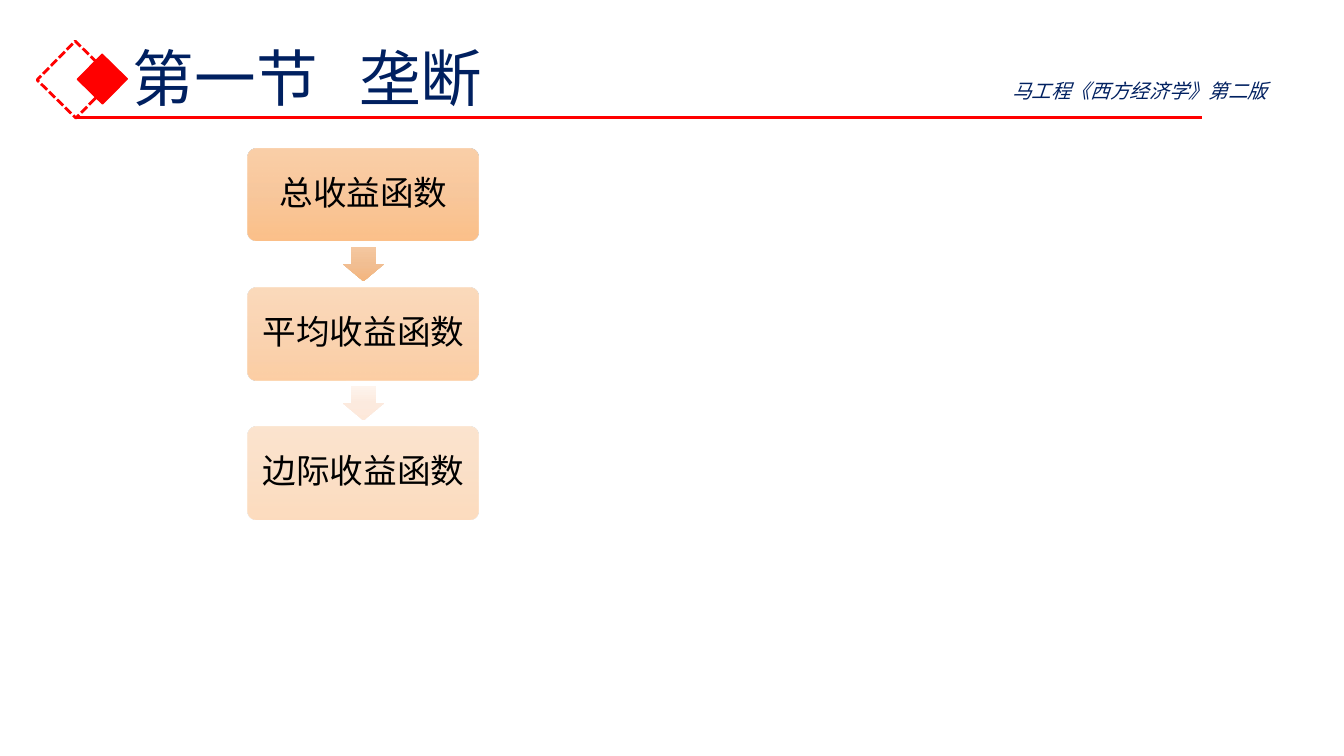
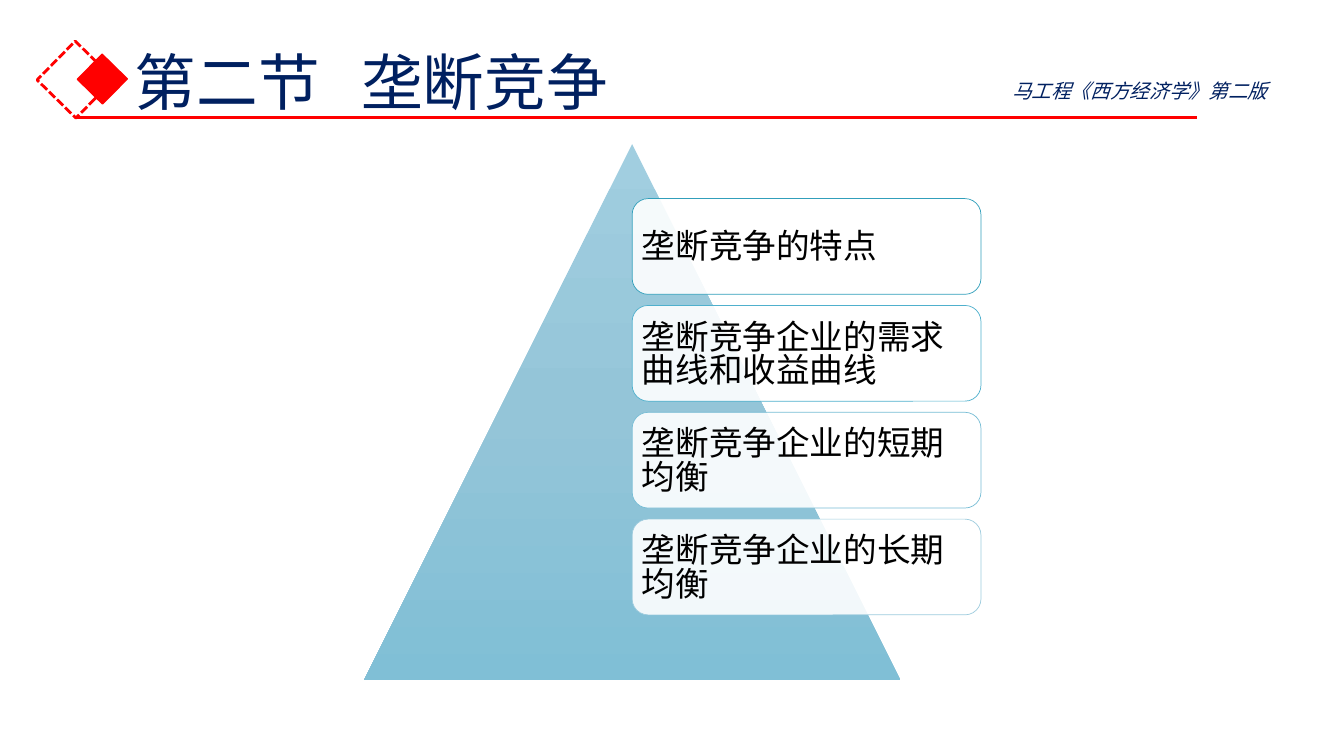
from lxml import etree
from pptx import Presentation
from pptx.dml.color import RGBColor
from pptx.enum.dml import MSO_LINE
from pptx.enum.shapes import MSO_CONNECTOR, MSO_SHAPE
from pptx.enum.text import MSO_ANCHOR, PP_ALIGN
from pptx.oxml.ns import qn
from pptx.util import Inches, Pt

RECT = MSO_SHAPE.RECTANGLE
ROUND = MSO_SHAPE.ROUNDED_RECTANGLE
ARROW = MSO_SHAPE.DOWN_ARROW
PEAK = MSO_SHAPE.ISOSCELES_TRIANGLE
LINE = MSO_CONNECTOR.STRAIGHT
DASH = MSO_LINE.SQUARE_DOT
MIDDLE = MSO_ANCHOR.MIDDLE
LEFT, CENTER = PP_ALIGN.LEFT, PP_ALIGN.CENTER

FONT = "Noto Sans CJK SC"
NAVY = RGBColor(0x00, 0x20, 0x60)
RED = RGBColor(0xFF, 0x00, 0x00)
BLACK = RGBColor(0x00, 0x00, 0x00)
WHITE = RGBColor(0xFF, 0xFF, 0xFF)
ORANGE = (RGBColor(0xFA, 0xCB, 0xA0), RGBColor(0xF8, 0xC2, 0x92),
          RGBColor(0xFC, 0xBA, 0x7D))
AMBER = (RGBColor(0xF4, 0xC7, 0xA0), RGBColor(0xF1, 0xBE, 0x92),
         RGBColor(0xF4, 0xB5, 0x7D))
CREAM = (RGBColor(0xFE, 0xF4, 0xED), RGBColor(0xFC, 0xEA, 0xDE),
         RGBColor(0xFD, 0xE8, 0xD9))
BLUE = (RGBColor(0xA1, 0xCE, 0xE0), RGBColor(0x94, 0xC5, 0xD8),
        RGBColor(0x80, 0xBF, 0xD6))

BOOK = "马工程《西方经济学》第二版"
STEPS = (("总收益函数", 90), ("平均收益函数", 70), ("边际收益函数", 50))
CARDS = (
    ("垄断竞争的特点", RGBColor(0x31, 0x9F, 0xBB)),
    ("垄断竞争企业的需求曲线和收益曲线", RGBColor(0x4F, 0xB0, 0xCD)),
    ("垄断竞争企业的短期均衡", RGBColor(0x77, 0xBD, 0xD5)),
    ("垄断竞争企业的长期均衡", RGBColor(0x9E, 0xCC, 0xDE)),
)


def style(run, size, color, italic=False):
    font = run.font
    font.size, font.name, font.italic = Pt(size), FONT, italic
    font.color.rgb = color
    east = etree.SubElement(run.font._element, qn("a:ea"))
    east.set("typeface", FONT)


def add_alpha(node, percent):
    etree.SubElement(node, qn("a:alpha")).set("val", str(percent * 1000))


def add_box(slide, kind, left, top, width, height, line=None, weight=1):
    """Add an unfilled, shadowless shape; lengths are in inches."""
    box = slide.shapes.add_shape(kind, Inches(left), Inches(top),
                                 Inches(width), Inches(height))
    box.shadow.inherit = False
    box.fill.background()
    if line is None:
        box.line.fill.background()
    else:
        box.line.color.rgb = line
        box.line.width = Pt(weight)
    return box


def paint(box, color, alpha=100):
    box.fill.solid()
    box.fill.fore_color.rgb = color
    if alpha < 100:
        add_alpha(box.element.spPr.find(qn("a:solidFill"))[0], alpha)


def shade(box, colors, alpha=100):
    """Fill with evenly spaced colours from top to bottom."""
    box.fill.gradient()
    box.fill.gradient_angle = 270
    stops = box.element.spPr.find(qn("a:gradFill")).find(qn("a:gsLst"))
    for old in list(stops):
        stops.remove(old)
    for i, color in enumerate(colors):
        stop = etree.SubElement(stops, qn("a:gs"))
        stop.set("pos", str(100000 * i // (len(colors) - 1)))
        tone = etree.SubElement(stop, qn("a:srgbClr"))
        tone.set("val", str(color))
        if alpha < 100:
            add_alpha(tone, alpha)


def label(box, text, align, spacing, margins):
    """Write body text; margins are left, top, right, bottom."""
    frame = box.text_frame
    frame.word_wrap = True
    frame.vertical_anchor = MIDDLE
    (frame.margin_left, frame.margin_top,
     frame.margin_right, frame.margin_bottom) = map(Inches, margins)
    frame.text = text
    para = frame.paragraphs[0]
    para.alignment, para.line_spacing = align, spacing
    style(para.runs[0], 24, BLACK)


def add_text(slide, left, top, width, height):
    """Add a text box and return its paragraph."""
    box = slide.shapes.add_textbox(Inches(left), Inches(top),
                                   Inches(width), Inches(height))
    box.text_frame.word_wrap = True
    box.text_frame.vertical_anchor = MIDDLE
    return box.text_frame.paragraphs[0]


def add_title(slide, part, topic, left, top):
    para = add_text(slide, left, top, 12.42 - left, 1.45)
    para.line_spacing = 0.9
    for text in (part, " ", topic):
        run = para.add_run()
        run.text = text
        style(run, 44, NAVY)
    # Letter spacing widens the gap between part and topic.
    para.runs[1].font._element.set("spc", "1970")


def add_frame(slide, end):
    """Add the diamonds, the red rule up to end, and the book name."""
    outer = add_box(slide, RECT, 0.48, 0.52, 0.54, 0.54, RED, 2)
    outer.line.dash_style = DASH
    inner = add_box(slide, RECT, 0.84, 0.61, 0.35, 0.35, RED)
    paint(inner, RED)
    outer.rotation = inner.rotation = 314.5

    rule = slide.shapes.add_connector(LINE, Inches(0.75), Inches(1.17),
                                      Inches(end), Inches(1.17))
    rule.line.color.rgb = RED
    rule.line.width = Pt(2.25)
    etree.SubElement(rule.element.spPr, qn("a:effectLst"))

    para = add_text(slide, 9.94, 0.73, 3.24, 0.34)
    para.text = BOOK
    style(para.runs[0], 14, NAVY, italic=True)


def add_steps(slide):
    left, top, width, height, pitch = 2.46, 1.47, 2.29, 0.92, 1.38
    for i, (text, alpha) in enumerate(STEPS):
        box = add_box(slide, ROUND, left, top + i * pitch, width, height)
        box.adjustments[0] = 0.1
        shade(box, ORANGE, alpha)
        label(box, text, CENTER, 0.9, (0.1, 0.1, 0.1, 0.1))

    wide, high = 0.41, 0.34
    for i, colors in enumerate((AMBER, CREAM)):
        y = top + i * pitch + (height + pitch - high) / 2
        arrow = add_box(slide, ARROW, left + (width - wide) / 2, y, wide, high)
        arrow.adjustments[0], arrow.adjustments[1] = 0.6, 0.5
        shade(arrow, colors)


def add_cards(slide):
    shade(add_box(slide, PEAK, 3.61, 1.43, 5.32, 5.32), BLUE)
    for i, (text, color) in enumerate(CARDS):
        card = add_box(slide, ROUND, 6.27, 1.97 + i * 1.06, 3.46, 0.95,
                       color, 0.5)
        paint(card, WHITE, 90)
        label(card, text, LEFT, 0.83, (0.05, 0.05, 0.05, 0))


def main():
    deck = Presentation()
    deck.slide_width, deck.slide_height = Inches(13.33), Inches(7.5)
    blank = deck.slide_layouts[6]

    slide = deck.slides.add_slide(blank)
    add_title(slide, "第一节", "垄断", 1.22, 0.08)
    add_steps(slide)
    add_frame(slide, 11.92)

    slide = deck.slides.add_slide(blank)
    add_title(slide, "第二节", "垄断竞争", 1.24, 0.12)
    add_cards(slide)
    add_frame(slide, 11.87)

    deck.save("out.pptx")


if __name__ == "__main__":
    main()
